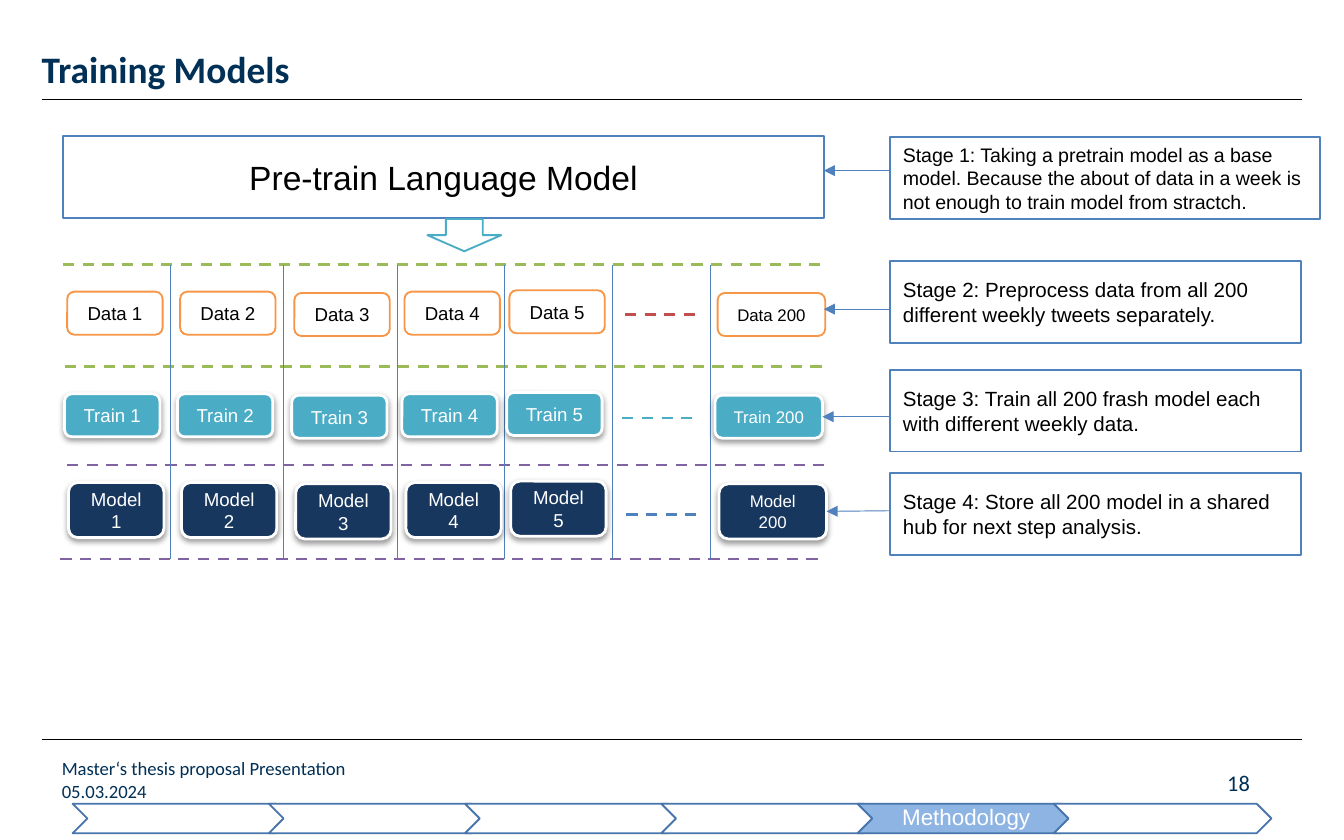
from lxml import etree
from pptx import Presentation
from pptx.dml.color import RGBColor
from pptx.enum import dml, shapes, text
from pptx.oxml.ns import qn
from pptx.util import Inches, Pt

HUES = {
    "navy": "003056", "black": "000000", "white": "FFFFFF",
    "blue": "4F81BD", "teal": "4BACC6", "orange": "F79646",
    "green": "9BBB59", "purple": "8064A2", "red": "C0504D",
    "deep": "17375E", "edge": "4875AC", "pale": "8EB4E3",
}
FORMS = shapes.MSO_SHAPE
LEFT, MID, RIGHT = text.PP_ALIGN.LEFT, text.PP_ALIGN.CENTER, text.PP_ALIGN.RIGHT

# Column offsets: left edge and slight vertical shift of each box
COLS = [("1", 0.5, 0), ("2", 1.34, 0), ("3", 2.19, 0.01),
        ("4", 3.01, 0), ("5", 3.79, -0.01), ("200", 5.34, 0.01)]
# Rows: name, shift, top, height, fill, line, font colour, shadow, dash
ROWS = [
    ("Data", 0, 2.17, 0.32, "white", "orange", "black", False, (4.65, 2.34, "red")),
    ("Train", -0.02, 2.93, 0.32, "teal", "white", "white", True, (4.63, 3.11, "teal")),
    ("Model", 0.01, 3.59, 0.41, "deep", "white", "white", True, (4.66, 3.83, "blue")),
]
# Stages: top, width, font size, arrow height, text
STAGES = [
    (1.02, 3.2, 10.5, 1.27, "Stage 1: Taking a pretrain model as a base model. Because the "
     "about of data in a week is not enough to train model from stractch."),
    (1.94, 3.06, 11, 2.3, "Stage 2: Preprocess data from all 200 different weekly tweets "
     "separately."),
    (2.75, 3.06, 11, 3.1, "Stage 3: Train all 200 frash model each with different weekly data."),
    (3.52, 3.06, 11, 3.8, "Stage 4: Store all 200 model in a shared hub for next step analysis."),
]


def hue(name):
    return RGBColor.from_string(HUES[name])


def write(frame, words, size, color, align=LEFT, face="Arial", bold=False, inset=None,
          anchor=text.MSO_ANCHOR.MIDDLE, spacing=None):
    frame.word_wrap = True
    frame.vertical_anchor = anchor
    if inset is not None:
        for side in ("left", "top", "right", "bottom"):
            setattr(frame, f"margin_{side}", Inches(inset))
    par = frame.paragraphs[0]
    par.alignment = align
    if spacing:
        par.line_spacing = spacing
    run = par.add_run()
    run.text = words
    for key, val in {"size": Pt(size), "name": face, "bold": bold}.items():
        setattr(run.font, key, val)
    run.font.color.rgb = hue(color)


def add_form(slide, form, x, y, w, h, fill, line, width=1):
    box = slide.shapes.add_shape(form, Inches(x), Inches(y), Inches(w), Inches(h))
    box.shadow.inherit = False
    box.fill.solid()
    box.fill.fore_color.rgb = hue(fill)
    box.line.color.rgb = hue(line)
    box.line.width = Pt(width)
    return box


def add_shade(box):
    effects = box._element.spPr.find(qn("a:effectLst"))
    outer = etree.SubElement(effects, qn("a:outerShdw"), blurRad=str(Pt(3.1)),
                             dist=str(Pt(1.6)), dir="5400000", rotWithShape="0")
    tint = etree.SubElement(outer, qn("a:srgbClr"), val=HUES["black"])
    etree.SubElement(tint, qn("a:alpha"), val="38000")


def add_line(slide, x1, y1, x2, y2, color, width=0.5, dash=False, arrow=False):
    line = slide.shapes.add_connector(shapes.MSO_CONNECTOR.STRAIGHT, Inches(x1), Inches(y1),
                                      Inches(x2), Inches(y2))
    line.line.color.rgb = hue(color)
    line.line.width = Pt(width)
    if dash:
        line.line.dash_style = dml.MSO_LINE.DASH
    if arrow:
        etree.SubElement(line.line._get_or_add_ln(), qn("a:tailEnd"), type="triangle")
    etree.SubElement(line._element.spPr, qn("a:effectLst"))
    return line


def add_note(slide, x, y, w, h, words, size, color, **style):
    box = slide.shapes.add_textbox(Inches(x), Inches(y), Inches(w), Inches(h))
    write(box.text_frame, words, size, color, **style)


def add_frame(slide):
    for y in (0.74, 5.5):
        add_line(slide, 0.31, y, 9.69, y, "black")
    title = slide.shapes.title
    spots = {"left": 0.31, "top": 0.18, "width": 9.37, "height": 0.5}
    for key, val in spots.items():
        setattr(title, key, Inches(val))
    write(title.text_frame, "Training Models", 20, "navy", face="Calibri", bold=True,
          inset=0, anchor=text.MSO_ANCHOR.BOTTOM, spacing=0.9)
    for x, y, w, words, size, align in [
            (7.76, 5.72, 1.54, "18", 12, RIGHT),
            (0.46, 5.8, 3.11, "05.03.2024", 10, LEFT),
            (0.46, 5.63, 4.22, "Master‘s thesis proposal Presentation", 10, LEFT)]:
        add_note(slide, x, y, w, 0.2, words, size, "navy", align=align, face="Calibri",
                 inset=0, anchor=text.MSO_ANCHOR.TOP)


def add_grid(slide):
    for x1, x2, y, color in [(0.47, 6.13, 1.97, "green"), (0.48, 6.14, 2.73, "green"),
                             (0.5, 6.16, 3.46, "purple"), (0.45, 6.13, 4.16, "purple")]:
        add_line(slide, x1, y, x2, y, color, 1.5, dash=True)
    for x in (1.27, 2.11, 2.96, 3.75, 4.56, 5.29):
        add_line(slide, x, 1.97, x, 4.16, "blue")


def add_row(slide, name, shift, top, high, fill, line, ink, shade, gap):
    """Draw one row and return its last box."""
    for num, x, drop in COLS:
        last = num == "200"
        box = add_form(slide, FORMS.ROUNDED_RECTANGLE, x + shift, top + drop,
                       0.8 if last else 0.71, high, fill, line, 1.5 if shade else 1)
        if shade:
            add_shade(box)
        write(box.text_frame, f"{name} {num}", 9 if last else 10, ink, MID)
    x, y, color = gap
    add_line(slide, x, y, x + 0.57, y, color, 1.5, dash=True)
    return box


def add_stages(slide, ends):
    for (top, wide, size, y, words), end in zip(STAGES, ends):
        arrow = add_line(slide, 6.63, y, 6.13, y, "blue", arrow=True)
        if end is not None:
            arrow.end_connect(end, 3)
        box = add_form(slide, FORMS.RECTANGLE, 6.62, top, wide, 0.61, "white", "blue")
        write(box.text_frame, words, size, "black")


def add_steps(slide):
    now = 4
    for i in range(6):
        add_form(slide, FORMS.CHEVRON, 0.54 + 1.46 * i, 5.98, 1.62, 0.22,
                 "pale" if i == now else "white", "edge")
    add_note(slide, 6.49, 5.98, 1.4, 0.22, "Methodology", 12, "white", align=MID,
             inset=0.02, spacing=0.9)


def main():
    deck = Presentation()
    deck.slide_width, deck.slide_height = Inches(10), Inches(6.25)
    slide = deck.slides.add_slide(deck.slide_layouts[5])
    add_frame(slide)

    # Base model
    base = add_form(slide, FORMS.RECTANGLE, 0.47, 1.01, 5.66, 0.61, "white", "blue")
    write(base.text_frame, "Pre-train Language Model", 18, "black", MID)
    add_form(slide, FORMS.DOWN_ARROW, 3.18, 1.63, 0.55, 0.24, "white", "teal")

    # Weekly grid and its stages
    add_grid(slide)
    data, train, model = [add_row(slide, *row) for row in ROWS]
    add_stages(slide, [None, None, train, model])

    # Progress bar
    add_steps(slide)
    deck.save("out.pptx")


if __name__ == "__main__":
    main()
